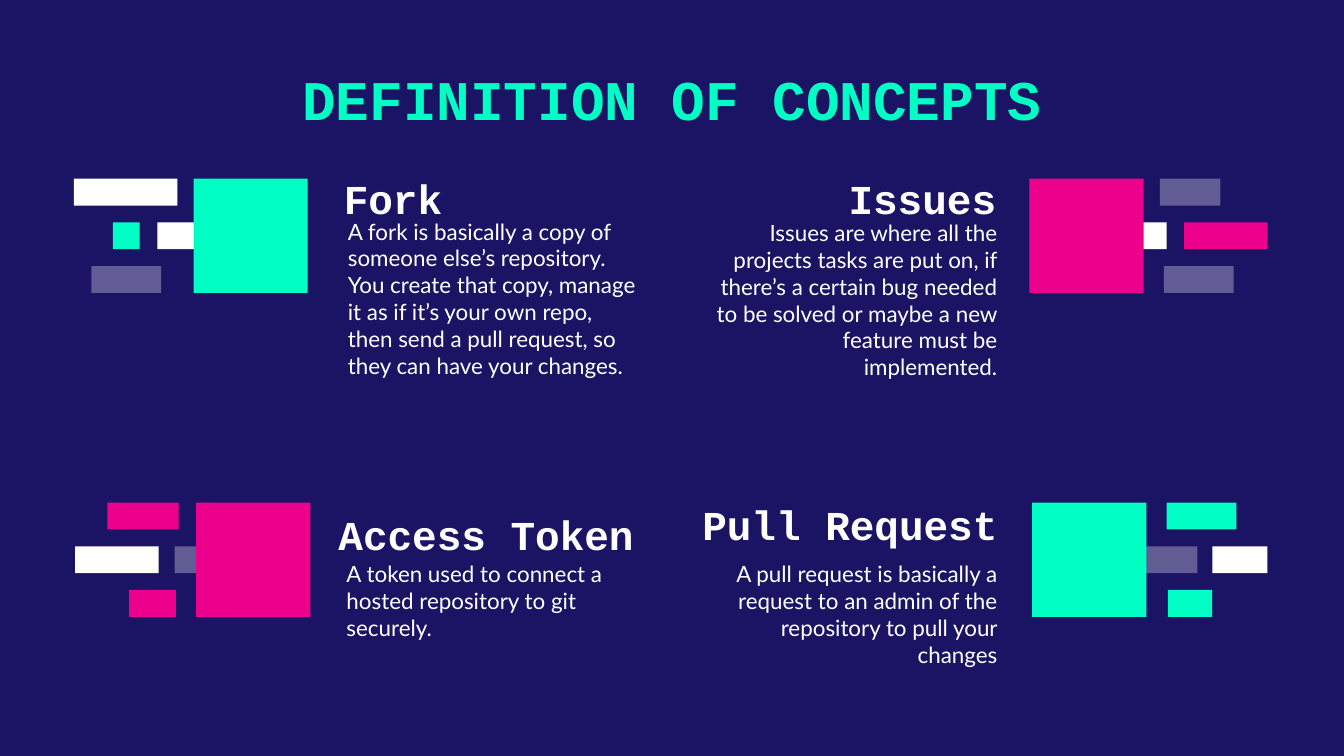
from pptx import Presentation
from pptx import util as u
from pptx.dml.color import RGBColor
from pptx.enum import shapes, text
from pptx.oxml.ns import qn
from lxml import etree

NAVY = RGBColor(0x1B, 0x14, 0x64)
MINT = RGBColor(0x00, 0xFF, 0xC5)
PINK = RGBColor(0xEC, 0x00, 0x8C)
WHITE = RGBColor(0xFF, 0xFF, 0xFF)
LEFT, CENTER, RIGHT = text.PP_ALIGN.LEFT, text.PP_ALIGN.CENTER, text.PP_ALIGN.RIGHT
TOP, BOTTOM = text.MSO_ANCHOR.TOP, text.MSO_ANCHOR.BOTTOM
FAINT = 31
SOLID = 100
SQUARE = 0.85
BAR_HEIGHT = 0.2
BAR_STEP = (SQUARE - BAR_HEIGHT) / 2


class ConceptSlide:
    heading_font = "Courier New"
    body_font = "Lato"

    def __init__(self, deck):
        self.slide = deck.slides.add_slide(deck.slide_layouts[6])
        fill = self.slide.background.fill
        fill.solid()
        fill.fore_color.rgb = NAVY

    def block(self, left, top, width, height, color, opacity=SOLID):
        block = self.slide.shapes.add_shape(
            shapes.MSO_SHAPE.RECTANGLE,
            *map(u.Inches, (left, top, width, height)))
        block.shadow.inherit = False
        block.line.fill.background()
        block.fill.solid()
        block.fill.fore_color.rgb = color
        if opacity < SOLID:
            tint = block.fill._xPr.find(qn("a:solidFill"))[0]
            etree.SubElement(tint, qn("a:alpha"), val=str(opacity * 1000))

    def text(self, frame, words, font, size, color=WHITE, align=LEFT,
             anchor=TOP, inset_top=0, inset_bottom=0, bold=False):
        box = self.slide.shapes.add_textbox(*map(u.Inches, frame))
        body = box.text_frame
        body.word_wrap = True
        body.vertical_anchor = anchor
        body.margin_left = body.margin_right = u.Inches(0.1)
        body.margin_top = u.Inches(inset_top)
        body.margin_bottom = u.Inches(inset_bottom)
        body.text = words
        para = body.paragraphs[0]
        para.alignment = align
        span = para.runs[0]
        span.font.name = font
        span.font.size = u.Pt(size)
        span.font.bold = bold
        span.font.color.rgb = color

    def title(self, words):
        self.text((1.4, 0.38, 7.2, 0.73), words, self.heading_font, 30, MINT,
                  CENTER, inset_top=0.1, inset_bottom=0.1, bold=True)

    def heading(self, frame, words, align):
        self.text(frame, words, self.heading_font, 22, align=align,
                  anchor=BOTTOM, bold=True)

    def definition(self, frame, words, align):
        self.text(frame, words, self.body_font, 12, align=align,
                  inset_bottom=0.1)

    def emblem(self, left, top, color, bars):
        for row, bar_left, width, bar_color, opacity in bars:
            self.block(bar_left, top + row * BAR_STEP, width, BAR_HEIGHT,
                       bar_color, opacity)
        self.block(left, top, SQUARE, SQUARE, color)

    def concept(self, name, name_frame, words, words_frame, align, emblem):
        self.emblem(*emblem)
        self.heading(name_frame, name, align)
        self.definition(words_frame, words, align)


CONCEPTS = [
    ("Fork", (2.46, 1.27, 2.37, 0.39),
     "A fork is basically a copy of someone else’s repository. You create that "
     "copy, manage it as if it’s your own repo, then send a pull request, so "
     "they can have your changes.",
     (2.49, 1.62, 2.37, 1.18), LEFT,
     (1.44, 1.33, MINT, [(0, 0.55, 0.77, WHITE, SOLID),
                         (1, 0.84, 0.2, MINT, SOLID),
                         (1, 1.17, 0.35, WHITE, SOLID),
                         (2, 0.68, 0.52, WHITE, FAINT)])),
    ("Issues", (5.14, 1.27, 2.37, 0.39),
     "Issues are where all the projects tasks are put on, if there’s a certain "
     "bug needed to be solved or maybe a new feature must be implemented.",
     (5.15, 1.63, 2.37, 1.09), RIGHT,
     (7.66, 1.33, PINK, [(0, 8.63, 0.45, WHITE, FAINT),
                         (1, 8.44, 0.24, WHITE, SOLID),
                         (1, 8.81, 0.62, PINK, SOLID),
                         (2, 8.66, 0.52, WHITE, FAINT)])),
    ("Access Token", (2.42, 3.77, 2.58, 0.39),
     "A token used to connect a hosted repository to git securely.",
     (2.48, 4.17, 2.37, 1.06), LEFT,
     (1.46, 3.74, PINK, [(0, 0.8, 0.53, PINK, SOLID),
                         (1, 0.56, 0.62, WHITE, SOLID),
                         (1, 1.3, 0.24, WHITE, FAINT),
                         (2, 0.96, 0.35, PINK, SOLID)])),
    ("Pull Request", (5, 3.69, 2.52, 0.39),
     "A pull request is basically a request to an admin of the repository to "
     "pull your changes",
     (5.15, 4.17, 2.37, 0.97), RIGHT,
     (7.68, 3.74, MINT, [(0, 8.68, 0.52, MINT, SOLID),
                         (1, 8.46, 0.45, WHITE, FAINT),
                         (1, 9.02, 0.41, WHITE, SOLID),
                         (2, 8.69, 0.33, MINT, SOLID)])),
]


def main():
    deck = Presentation()
    deck.slide_width = u.Inches(10)
    deck.slide_height = u.Inches(10 * 9 / 16)
    page = ConceptSlide(deck)
    page.title("DEFINITION OF CONCEPTS")
    for concept in CONCEPTS:
        page.concept(*concept)
    deck.save("out.pptx")


if __name__ == "__main__":
    main()
